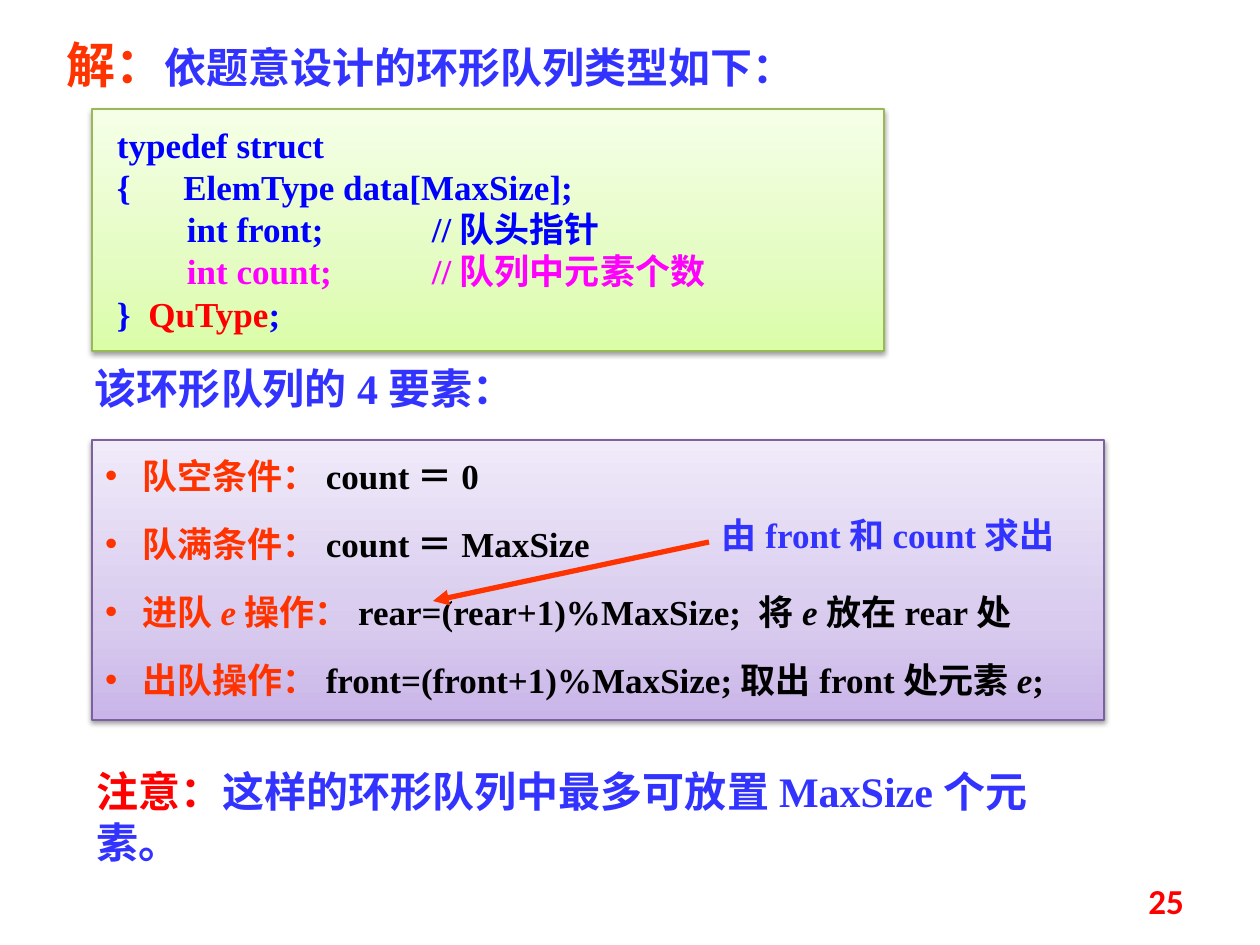
from copy import deepcopy
from dataclasses import dataclass

from lxml import etree
from pptx import Presentation
from pptx.dml.color import RGBColor
from pptx.enum import shapes, text
from pptx.oxml.ns import qn
from pptx.util import Emu, Pt

SCALE = 914400 / 126  # EMU in one px
SERIF, SANS, PLAIN = "Times New Roman", "Noto Sans CJK SC", "Calibri"
ORANGE = RGBColor(0xFF, 0x33, 0x00)
INDIGO = RGBColor(0x33, 0x33, 0xFF)
BLUE = RGBColor(0x00, 0x00, 0xFF)
PINK = RGBColor(0xFF, 0x00, 0xFF)
RED = RGBColor(0xFF, 0x00, 0x00)
BLACK = RGBColor(0x00, 0x00, 0x00)
GREEN = RGBColor(0x98, 0xB9, 0x55)
PURPLE = RGBColor(0x7D, 0x60, 0xA0)
LIMES = (RGBColor(0xDA, 0xFD, 0xA7), RGBColor(0xE4, 0xFC, 0xC2), RGBColor(0xF5, 0xFF, 0xE7))
LILACS = (RGBColor(0xC9, 0xB5, 0xE8), RGBColor(0xD8, 0xCB, 0xEE), RGBColor(0xF0, 0xEA, 0xF9))


@dataclass
class Run:
    words: str
    color: RGBColor
    size: int = 20
    font: str = SERIF
    slant: bool = False


@dataclass
class Box:
    left: int
    top: int
    width: int
    height: int


@dataclass
class Panel:
    box: Box
    shades: tuple[RGBColor, ...]
    edge: RGBColor


def px(count: int) -> Emu:
    return Emu(round(count * SCALE))


def place(box: Box) -> tuple[Emu, ...]:
    return px(box.left), px(box.top), px(box.width), px(box.height)


def node(parent, tag: str, **attrs: str):
    """Append a DrawingML element."""
    child = etree.SubElement(parent, qn(tag))
    for key, value in attrs.items():
        child.set(key, value)
    return child


def write(shape, lines: list[list[Run]], *, pad: tuple[int, int] = (13, 6),
          lead: float = 1.2, gap: int = 0, hang: int = 0,
          align=text.PP_ALIGN.LEFT, anchor=text.MSO_ANCHOR.TOP) -> None:
    """Fill a shape with lines; a hang above zero gives bullets."""
    frame = shape.text_frame
    frame.word_wrap = True
    frame.vertical_anchor = anchor
    frame.margin_left = frame.margin_right = px(pad[0])
    frame.margin_top = frame.margin_bottom = px(pad[1])
    for i, runs in enumerate(lines):
        para = frame.add_paragraph() if i else frame.paragraphs[0]
        para.alignment = align
        para.line_spacing = Pt(lead * max(run.size for run in runs))
        para.space_before = Pt(gap if i else 0)
        if hang:
            props = para._p.get_or_add_pPr()
            props.set("marL", str(px(hang)))
            props.set("indent", str(-px(hang)))
            node(props, "a:buFont", typeface="Arial")
            node(props, "a:buChar", char="•")
        for run in runs:
            part = para.add_run()
            part.text = run.words
            font = part.font
            font.name, font.size = run.font, Pt(run.size)
            font.bold, font.italic = True, run.slant
            font.color.rgb = run.color
            node(part._r.get_or_add_rPr(), "a:ea", typeface=SANS)


def label(slide, box: Box, *runs: Run, **style) -> None:
    write(slide.shapes.add_textbox(*place(box)), [list(runs)], **style)


def draw(slide, panel: Panel):
    """Add a shaded panel with a soft shadow."""
    shape = slide.shapes.add_shape(shapes.MSO_SHAPE.RECTANGLE, *place(panel.box))
    fill = shape.fill
    fill.gradient()
    fill.gradient_angle = 90
    props = shape._element.spPr
    stops = props.find(".//" + qn("a:gsLst"))
    stops.append(deepcopy(stops[0]))
    for stop, spot, shade in zip(fill.gradient_stops, (0, 0.35, 1), panel.shades):
        stop.position = spot
        stop.color.rgb = shade
    shape.line.color.rgb = panel.edge
    shape.line.width = Pt(0.75)
    shape.shadow.inherit = False
    shadow = node(props.find(qn("a:effectLst")), "a:outerShdw", blurRad=str(Pt(3.1)),
                  dist=str(Pt(1.6)), dir="5400000", rotWithShape="0")
    node(node(shadow, "a:srgbClr", val="000000"), "a:alpha", val="38000")
    return shape


def arrow(slide, start: tuple[int, int], end: tuple[int, int]) -> None:
    line = slide.shapes.add_connector(shapes.MSO_CONNECTOR.STRAIGHT, *map(px, start + end))
    line.line.color.rgb = ORANGE
    line.line.width = Pt(3)
    node(line.line._get_or_add_ln(), "a:tailEnd", type="triangle")
    node(line._element.spPr, "a:effectLst")


CODE = [
    [Run("typedef struct", BLUE)],
    [Run("{      ElemType data[MaxSize];", BLUE)],
    [Run("        int front;\t\t//队头指针", BLUE)],
    [Run("        int count;\t\t//队列中元素个数", PINK)],
    [Run("}  ", BLUE), Run("QuType", RED), Run(";", BLUE)],
]
RULES = [
    [Run("队空条件：", ORANGE), Run("count＝0", BLACK)],
    [Run("队满条件：", ORANGE), Run("count＝MaxSize", BLACK)],
    [Run("进队", ORANGE), Run("e", ORANGE, slant=True), Run("操作：", ORANGE),
     Run("rear=(rear+1)%MaxSize; 将", BLACK), Run("e", BLACK, slant=True),
     Run("放在rear处", BLACK)],
    [Run("出队操作：", ORANGE), Run("front=(front+1)%MaxSize;取出front处元素", BLACK),
     Run("e", BLACK, slant=True), Run(";", BLACK)],
]


def main() -> None:
    deck = Presentation()
    deck.slide_width, deck.slide_height = px(1260), px(945)
    slide = deck.slides.add_slide(deck.slide_layouts[6])

    label(slide, Box(54, 29, 1121, 72), Run("解：", ORANGE, 28),
          Run("依题意设计的环形队列类型如下：", INDIGO, 24))
    write(draw(slide, Panel(Box(92, 109, 792, 242), LIMES, GREEN)), CODE, pad=(25, 15))
    label(slide, Box(82, 357, 447, 63), Run("该环形队列的4要素：", INDIGO, 24))
    write(draw(slide, Panel(Box(92, 440, 1012, 280), LILACS, PURPLE)), RULES,
          lead=1.44, gap=10, hang=37)
    label(slide, Box(84, 760, 989, 63), Run("注意：", RED, 24, SANS),
          Run("这样的环形队列中最多可放置MaxSize个元素。", INDIGO, 24))
    arrow(slide, (709, 542), (433, 601))
    label(slide, Box(709, 507, 476, 54), Run("由front和count求出", INDIGO))
    label(slide, Box(903, 876, 294, 50), Run("25", RED, font=PLAIN),
          align=text.PP_ALIGN.RIGHT, anchor=text.MSO_ANCHOR.MIDDLE)
    deck.save("out.pptx")


if __name__ == "__main__":
    main()
